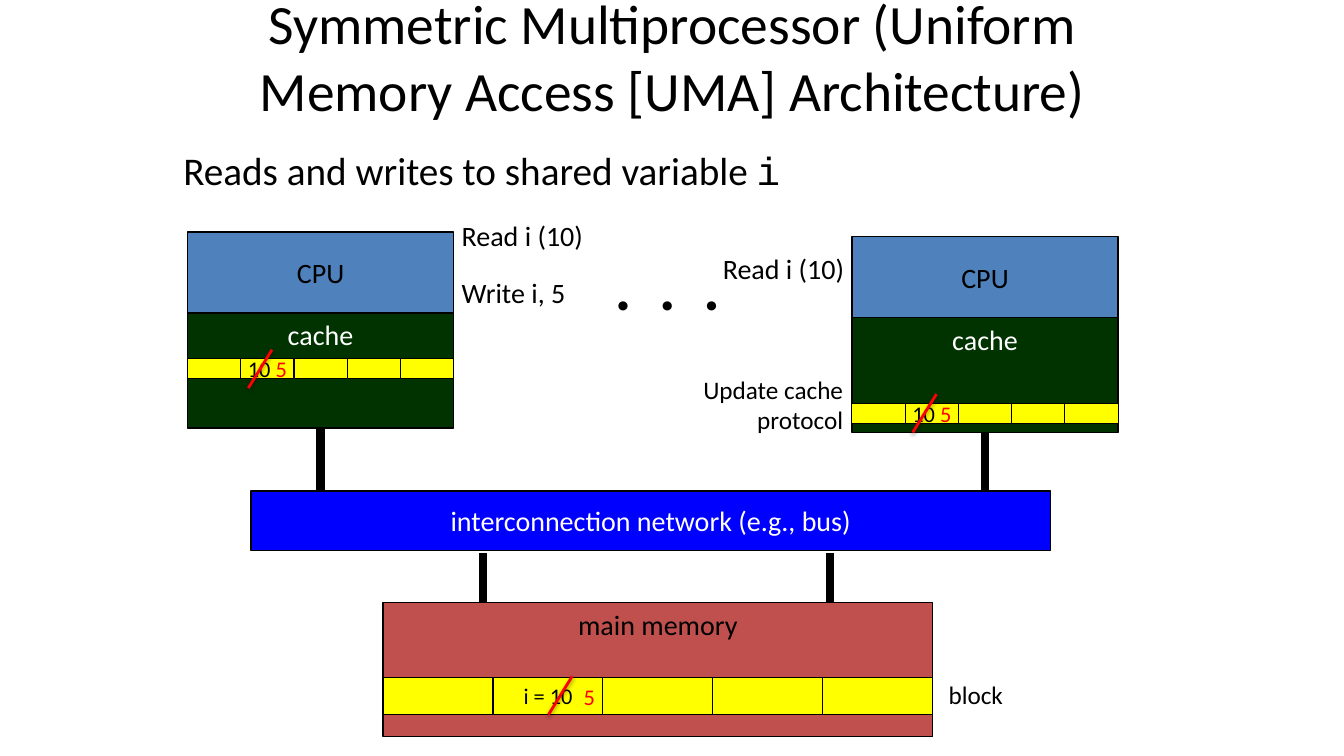
"""Draw the symmetric multiprocessor slide."""
from dataclasses import dataclass

from lxml.etree import SubElement as Sub
from pptx import Presentation
from pptx.dml.color import RGBColor as Rgb
from pptx.enum.shapes import MSO_CONNECTOR as Link, MSO_SHAPE as Form
from pptx.enum.text import MSO_ANCHOR as Anchor, PP_ALIGN as Align
from pptx.oxml.ns import qn
from pptx.util import Inches, Pt


@dataclass(frozen=True)
class Theme:
    """Hold the colours, fonts and sizes."""
    black: str = "000000"
    white: str = "FFFFFF"
    blue: str = "4F81BD"
    green: str = "003300"
    rust: str = "C0504D"
    bus: str = "0000FF"
    yellow: str = "FFFF00"
    red: str = "FF0000"
    face: str = "Calibri"
    code: str = "Courier New"
    title: float = 39.6
    dots: float = 44
    lead: float = 28
    body: float = 20
    note: float = 18
    cell: float = 16


def apply(item, form):
    """Set each format value on the item."""
    for key, value in form.items():
        setattr(item, key, value)


class Pen:
    """Draw on one slide, in grid units of a tenth of an inch."""

    def __init__(self, slide, theme):
        """Keep the slide and the theme."""
        self.shapes, self.theme = slide.shapes, theme

    def grid(self, *units):
        """Turn columns or rows into lengths."""
        return [Inches(unit / 10) for unit in units]

    def letter(self, shape, runs, size, tint, align, **frame):
        """Fill a shape with one styled paragraph."""
        apply(shape.text_frame, {"word_wrap": False, **frame})
        para = shape.text_frame.paragraphs[0]
        para.alignment = align
        for words, style in runs:
            run = para.add_run()
            run.text = words
            form = {"name": self.theme.face, "size": Pt(size), **style}
            run.font.color.rgb = Rgb.from_string(form.pop("tint", tint))
            apply(run.font, form)

    def label(self, box, words, size, align=Align.LEFT, tail=(), style=None, **frame):
        """Place free text."""
        shape = self.shapes.add_textbox(*self.grid(*box))
        runs = [(words, style or {}), *tail]
        self.letter(shape, runs, size, self.theme.black, align, **frame)

    def block(self, box, fill, runs=(), size=None, tint=None, edge=1, **frame):
        """Place a filled box with centred text."""
        shape = self.shapes.add_shape(Form.RECTANGLE, *self.grid(*box))
        shape.shadow.inherit = False
        shape.fill.solid()
        shape.fill.fore_color.rgb = Rgb.from_string(fill)
        shape.line.color.rgb = Rgb.from_string(self.theme.black)
        shape.line.width = Pt(edge)
        if runs:
            self.letter(shape, runs, size or self.theme.body,
                        tint or self.theme.black, Align.CENTER, **frame)
        return shape

    def strip(self, box, runs):
        """Place five memory cells, with text in the second."""
        left, top, width, height = box
        step = width / 5
        bare = dict.fromkeys(("margin_left", "margin_right", "margin_top", "margin_bottom"), 0)
        for spot in range(5):
            self.block((left + spot * step, top, step, height), self.theme.yellow,
                       runs if spot == 1 else (), self.theme.cell, edge=0.75,
                       vertical_anchor=Anchor.MIDDLE, **bare)

    def wire(self, start, stop, tint, width):
        """Draw a straight line and return it with its effect list."""
        line = self.shapes.add_connector(Link.STRAIGHT, *self.grid(*start, *stop))
        line.line.color.rgb = Rgb.from_string(tint)
        line.line.width = Pt(width)
        return line, Sub(line._element.spPr, qn("a:effectLst"))

    def slash(self, left, top):
        """Strike out a value with a shaded red line."""
        _, effect = self.wire((left + 2.35, top), (left, top + 3.8), self.theme.red, 2)
        shade = Sub(effect, qn("a:outerShdw"), blurRad="40000", dist="20000",
                    dir="5400000", rotWithShape="0")
        tone = Sub(shade, qn("a:srgbClr"), val=self.theme.black)
        Sub(tone, qn("a:alpha"), val="38000")


def main():
    """Build and save the slide."""
    deck = Presentation()
    deck.slide_width, deck.slide_height = Inches(13.33), Inches(7.5)
    look = Theme()
    pen = Pen(deck.slides.add_slide(deck.slide_layouts[6]), look)
    mid = {"vertical_anchor": Anchor.MIDDLE}
    high = {"vertical_anchor": Anchor.TOP}
    new = ("5", {"tint": look.red})

    pen.label((21.7, -0.7, 90, 12.5), "Symmetric Multiprocessor (Uniform Memory Access "
              "[UMA] Architecture)", look.title, Align.CENTER, word_wrap=True, **mid)
    pen.label((17.2, 14, 62.1, 5.7), "Reads and writes to shared variable ", look.lead,
              tail=[("i", {"name": look.code})])

    wide, bus_top = 26.4, 48.7
    for left, top, row in ((18.6, 23, 35.6), (84.5, 23.45, 40)):
        pen.block((left, top, wide, 8.1), look.blue, [("CPU", {})], **mid)
        cache = pen.block((left, top + 8.05, wide, 11.4), look.green,
                          [("cache", {})], tint=look.white, **high)
        pen.strip((left, row, wide, 2), [("10 ", {}), new])
        pen.slash(left + wide / 5 + 0.75, row - 0.9)
        core = left + wide / 2
        wire, _ = pen.wire((core, top + 19.45), (core, bus_top), look.black, 6)
        wire.begin_connect(cache, 2)

    pen.block((24.9, bus_top, 79.3, 5.9), look.bus,
              [("interconnection network (e.g., bus)", {})], tint=look.white, **mid)
    for left in (47.9, 82.3):
        pen.wire((left, 54.9), (left, 59.8), look.black, 6)
    pen.block((38, 59.8, 54.5, 13.3), look.rust, [("main memory", {})], **high)
    pen.strip((38, 67.2, 54.5, 3.7), [("i = 10", {})])
    pen.label((55.8, 68.1, 5.3, 2), new[0], look.cell, Align.CENTER, style=new[1],
              margin_left=0, margin_right=0, margin_top=0, margin_bottom=0, **mid)
    pen.slash(54.4, 67.1)

    for left, top, width, words in ((44.8, 21.2, 14.2, "Read i (10)"),
                                    (70.7, 24.5, 14.2, "Read i (10)"),
                                    (44.8, 26.8, 12.5, "Write i, 5")):
        pen.label((left, top, width, 4.4), words, look.body)
    pen.label((59.9, 24.2, 12.6, 8.4), ".  .  .", look.dots, Align.CENTER,
              style={"bold": True})
    pen.label((60.4, 36.6, 24.2, 7.1), "Update cache protocol", look.note, Align.RIGHT,
              word_wrap=True)
    pen.label((93.1, 66.9, 7.5, 4), "block", look.note)
    deck.save("out.pptx")


if __name__ == "__main__":
    main()
